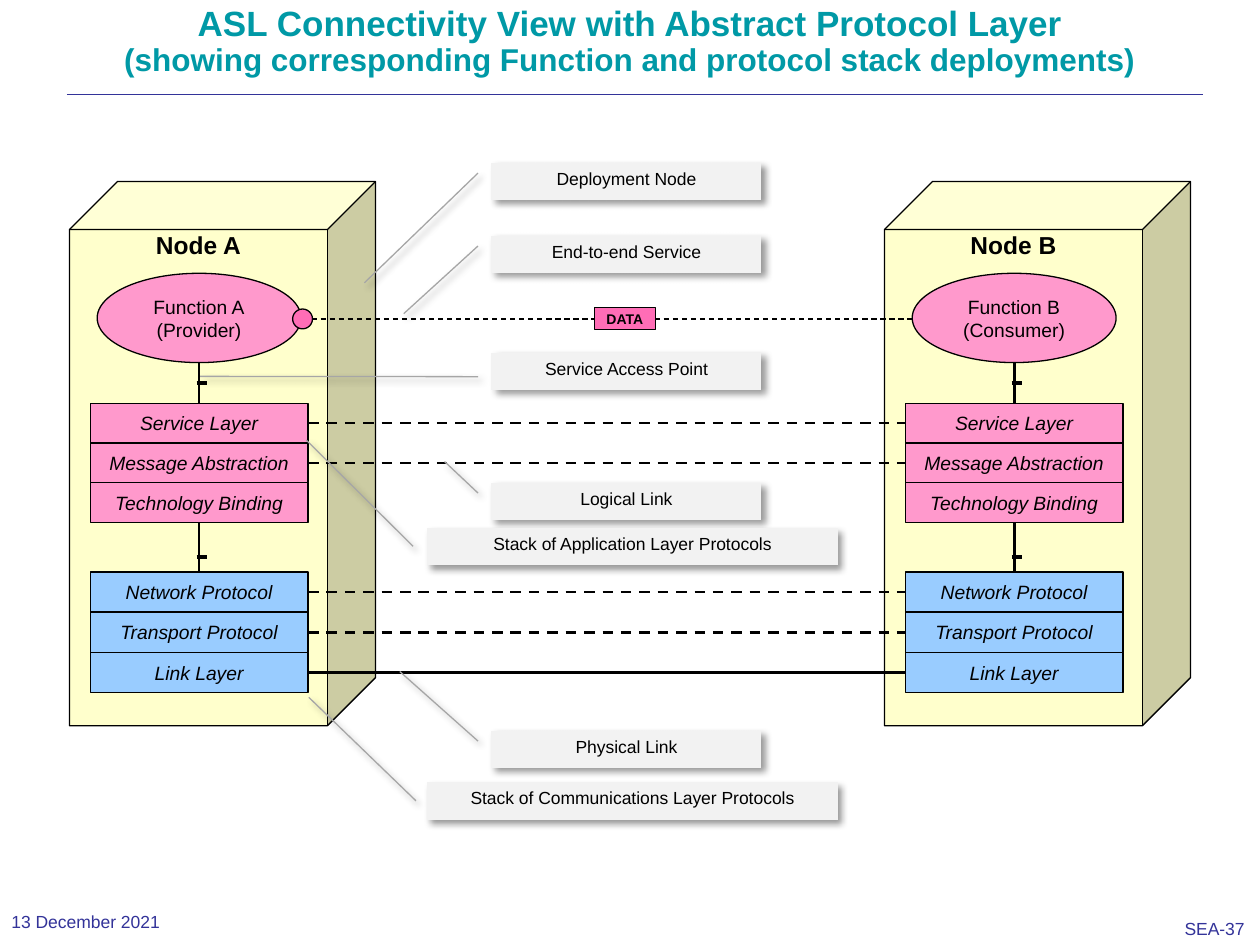
from dataclasses import dataclass

from lxml import etree
from pptx import Presentation
from pptx.dml.color import RGBColor
from pptx.enum.dml import MSO_LINE
from pptx.enum.shapes import MSO_CONNECTOR, MSO_SHAPE
from pptx.enum.text import MSO_ANCHOR, MSO_AUTO_SIZE, PP_ALIGN
from pptx.oxml import parse_xml
from pptx.oxml.ns import nsdecls, qn
from pptx.util import Cm, Pt

STRAIGHT = MSO_CONNECTOR.STRAIGHT
CUBE, OVAL, RECT = MSO_SHAPE.CUBE, MSO_SHAPE.OVAL, MSO_SHAPE.RECTANGLE
CALLOUT = MSO_SHAPE.LINE_CALLOUT_1_NO_BORDER
DASH = MSO_LINE.DASH
TOP, MIDDLE = MSO_ANCHOR.TOP, MSO_ANCHOR.MIDDLE
LEFT, CENTER = PP_ALIGN.LEFT, PP_ALIGN.CENTER
SITE_TOP, SITE_LEFT, SITE_BOTTOM, SITE_RIGHT = range(4)


@dataclass(frozen=True)
class Theme:
    font: str = "Arial"
    title: str = "0099A6"
    footer: str = "333399"
    ink: str = "000000"
    node: str = "FFFFCC"
    app: str = "FF99CC"
    comm: str = "99CCFF"
    data: str = "FF6DB6"
    note: str = "F2F2F2"
    leader: str = "A6A6A6"
    title_pt: int = 20
    subtitle_pt: int = 18
    node_pt: int = 14
    body_pt: int = 11
    note_pt: int = 10
    data_pt: int = 8
    thin: float = 0.75
    link: float = 1.5
    tick: float = 2.25


T = Theme()

APP_LAYERS = ["Service Layer", "Message Abstraction", "Technology Binding"]
COMM_LAYERS = ["Network Protocol", "Transport Protocol", "Link Layer"]

# text, top, wide box, leader adjustments (y1, x1, y2, x2)
NOTES = [
    ("Physical Link", 14.73, False, (0.277, 1.05, -1.569, 1.34)),
    ("Logical Link", 9.73, False, (0.277, 1.05, -0.56, 1.174)),
    ("End-to-end Service", 4.75, False, (0.277, 1.05, 2.071, 1.325)),
    ("Stack of Communications Layer Protocols", 15.77, True, (0.493, 1.027, -2.254, 1.288)),
    ("Stack of Application Layer Protocols", 10.64, True, (0.493, 1.034, -2.326, 1.294)),
    ("Service Access Point", 7.11, False, (0.637, 1.05, 0.629, 2.08)),
    ("Deployment Node", 3.28, False, (0.277, 1.05, 3.188, 1.471)),
]


def rgb(value):
    return RGBColor.from_string(value)


def write(sp, text, size=T.body_pt, color=T.ink, bold=False, italic=False,
          align=CENTER, anchor=MIDDLE, inset=(0.05, 0.05), wrap=True):
    tf = sp.text_frame
    tf.text = text
    tf.word_wrap = wrap
    tf.auto_size = MSO_AUTO_SIZE.NONE
    tf.vertical_anchor = anchor
    tf.margin_left = tf.margin_right = Cm(inset[0])
    tf.margin_top = tf.margin_bottom = Cm(inset[1])
    for p in tf.paragraphs:
        p.alignment = align
        for r in p.runs:
            r.font.name, r.font.size = T.font, Pt(size)
            r.font.bold, r.font.italic = bold, italic
            r.font.color.rgb = rgb(color)
    return tf


def add_block(s, kind, x, y, w, h, fill, line=T.ink):
    sp = s.shapes.add_shape(kind, Cm(x), Cm(y), Cm(w), Cm(h))
    sp.shadow.inherit = False
    sp.fill.solid()
    sp.fill.fore_color.rgb = rgb(fill)
    sp.line.color.rgb = rgb(line)
    sp.line.width = Pt(T.thin)
    return sp


def add_line(s, x1, y1, x2, y2, width=T.link, color=T.ink, dash=None):
    line = s.shapes.add_connector(STRAIGHT, Cm(x1), Cm(y1), Cm(x2), Cm(y2))
    line.line.color.rgb = rgb(color)
    line.line.width = Pt(width)
    line.line.dash_style = dash
    etree.SubElement(line._element.spPr, qn("a:effectLst"))
    return line


def add_header(s, x, y, w, h):
    title = s.shapes.title
    title.left, title.top, title.width, title.height = Cm(x), Cm(y), Cm(w), Cm(h)
    tf = write(title, "ASL Connectivity View with Abstract Protocol Layer\v"
               "(showing corresponding Function and protocol stack deployments)",
               T.title_pt, T.title, bold=True, anchor=TOP, inset=(0.25, 0.13))
    p = tf.paragraphs[0]
    p.line_spacing = 0.9
    p.runs[1].font.size = Pt(T.subtitle_pt)
    add_line(s, x + 0.08, y + 1.9, x + w + 0.13, y + 1.9, 0.13, T.footer)


def add_footer(s, x, y, w, h, text):
    box = s.shapes.add_textbox(Cm(x), Cm(y), Cm(w), Cm(h))
    write(box, text, T.note_pt, T.footer, align=LEFT, inset=(0.23, 0.1), wrap=False)


def add_stack(s, x, y, w, row, names, fill):
    layers = []
    for i, name in enumerate(names):
        sp = add_block(s, RECT, x, y + i * row, w, row, fill)
        write(sp, name, italic=True)
        layers.append(sp)
    return layers


def add_access_point(s, x, y1, y2, at):
    """Vertical stem with a short tick at the given share of its length."""
    stem = add_line(s, x, y1, x, y2)
    y = y1 + at * (y2 - y1)
    add_line(s, x - 0.05, y, x + 0.15, y, T.tick)
    return stem


def add_node(s, x, y, w, h, name, function):
    """Draw a deployment node and return its layers from top to bottom."""
    cube = add_block(s, CUBE, x, y, w, h, T.node)
    cube.adjustments[0] = 0.157
    write(cube, name, T.node_pt, bold=True, anchor=TOP, inset=(0.25, 0), wrap=False)

    oval = add_block(s, OVAL, x + 0.56, y + 1.85, 4.11, 1.8, T.app)
    write(oval, function, inset=(0, 0.13))
    app = add_stack(s, x + 0.42, y + 4.47, 4.39, 0.8, APP_LAYERS, T.app)
    comm = add_stack(s, x + 0.42, y + 7.87, 4.39, 0.81, COMM_LAYERS, T.comm)

    mid = x + 2.615
    stem = add_access_point(s, mid, y + 3.65, y + 4.47, 0.5)
    stem.end_connect(app[0], SITE_TOP)
    stem = add_access_point(s, mid, y + 6.87, y + 7.87, 0.7)
    stem.begin_connect(app[-1], SITE_BOTTOM)
    stem.end_connect(comm[0], SITE_TOP)
    return app + comm


def add_layer_links(s, layers_a, layers_b):
    for a, b in zip(layers_a, layers_b):
        name = a.text_frame.text
        if name == "Technology Binding":
            continue
        link = add_line(s, 0, 0, 1, 1, dash=None if name == "Link Layer" else DASH)
        link.begin_connect(a, SITE_RIGHT)
        link.end_connect(b, SITE_LEFT)


def add_service_link(s, x1, x2, y):
    """End-to-end service with its provider port and data label."""
    add_line(s, x1, y, x2, y, T.thin, dash=DASH)
    add_block(s, OVAL, x1 - 0.2, y - 0.2, 0.4, 0.4, T.data)
    label = add_block(s, RECT, (x1 + x2) / 2 - 0.25, y - 0.23, 1.22, 0.44, T.data)
    write(label, "DATA", T.data_pt, bold=True)


def add_note(s, x, y, w, h, text, leader):
    sp = add_block(s, CALLOUT, x, y, w, h, T.note, T.leader)
    for i, value in enumerate(leader):
        sp.adjustments[i] = value
    spPr = sp._element.spPr
    spPr.xfrm.set("flipH", "1")
    spPr.find(qn("a:effectLst")).append(parse_xml(
        f'<a:outerShdw {nsdecls("a")} blurRad="{Pt(4)}" dist="{Pt(3)}" dir="2700000" '
        f'algn="tl" rotWithShape="0"><a:srgbClr val="{T.ink}">'
        '<a:alpha val="40000"/></a:srgbClr></a:outerShdw>'))
    write(sp, text, T.note_pt, anchor=TOP, inset=(0.1, 0.1))


def main():
    prs = Presentation()
    prs.slide_width, prs.slide_height = Cm(25.4), Cm(19.05)
    s = prs.slides.add_slide(prs.slide_layouts[5])

    add_header(s, 1.27, 0, 22.86, 3.18)
    add_footer(s, 23.65, 18.39, 1.73, 0.66, "SEA-37")
    add_footer(s, 0, 18.21, 4.8, 0.74, "13 December 2021")

    layers_a = add_node(s, 1.4, 3.66, 6.17, 10.97, "Node A", "Function A\v(Provider)")
    layers_b = add_node(s, 17.83, 3.66, 6.17, 10.97, "Node B", "Function B\n(Consumer)")
    add_service_link(s, 6.1, 18.38, 6.43)
    add_layer_links(s, layers_a, layers_b)

    for text, y, wide, leader in NOTES:
        x, w = (8.61, 8.28) if wide else (9.91, 5.44)
        add_note(s, x, y, w, 0.76, text, leader)

    prs.save("out.pptx")


if __name__ == "__main__":
    main()
